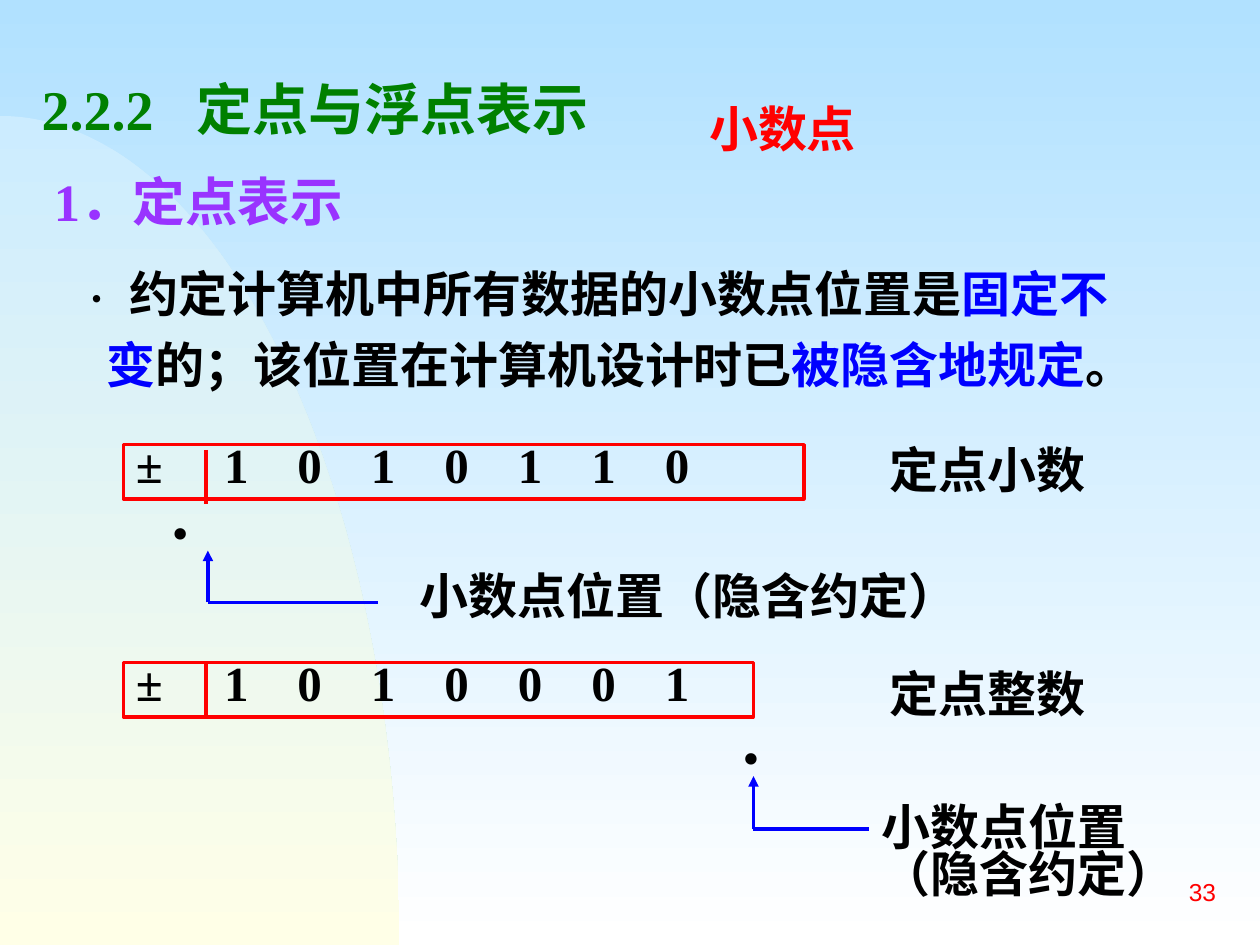
from math import cos, pi, sin

from lxml.etree import SubElement
from pptx import Presentation
from pptx.dml.color import RGBColor
from pptx.enum.shapes import MSO_CONNECTOR as Connector, MSO_SHAPE as Shape
from pptx.enum.text import MSO_ANCHOR as Anchor, MSO_AUTO_SIZE as AutoSize, PP_ALIGN as Align
from pptx.oxml.ns import qn
from pptx.util import Inches, Pt

COLUMNS, ROWS = 100, 75
SERIF, SANS, ARIAL = "Times New Roman", "Noto Sans CJK SC", "Arial"
BLACK, RED, BLUE, GREEN, PURPLE = "000000", "FF0000", "0000FF", "008000", "9933FF"
FIRST_BIT, BIT_STEP = 7, 5.83


def cells(count):
    return Inches(count * 10 / COLUMNS)


def colour(value):
    return RGBColor.from_string(value)


def set_gradient(fill, *values):
    fill.gradient()
    fill.gradient_angle = 270
    for stop, value in zip(fill.gradient_stops, values):
        stop.color.rgb = colour(value)


def write(shape, *runs, font=SERIF, size=28, color=BLACK, bold=True, spacing=1.0,
          align=Align.LEFT, anchor=Anchor.TOP, wrap=True, tabs=(), hanging=0):
    frame = shape.text_frame
    frame.auto_size = AutoSize.NONE
    frame.word_wrap = wrap
    frame.vertical_anchor = anchor
    paragraph = frame.paragraphs[0]
    paragraph.alignment = align
    paragraph.line_spacing = spacing
    paragraph.space_before = Pt(0)
    properties = paragraph._p.get_or_add_pPr()
    if hanging:
        properties.set("marL", str(cells(hanging)))
        properties.set("indent", str(-cells(hanging)))
    if tabs:
        tab_list = SubElement(properties, qn("a:tabLst"))
        for position in tabs:
            SubElement(tab_list, qn("a:tab"), pos=str(cells(position)), algn="l")
    for words, changes in runs:
        style = {"font": font, "size": size, "color": color, "bold": bold} | changes
        run = paragraph.add_run()
        run.text = words
        run.font.name = style["font"]
        run.font.size = Pt(style["size"])
        run.font.bold = style["bold"]
        run.font.color.rgb = colour(style["color"])
        SubElement(run._r.get_or_add_rPr(), qn("a:ea"), typeface=SANS)


def add_text(slide, box, *runs, **style):
    shape = slide.shapes.add_textbox(*map(cells, box))
    write(shape, *runs, **style)


def add_line(slide, start, end, value, arrow=False):
    line = slide.shapes.add_connector(Connector.STRAIGHT, *map(cells, start + end))
    line.line.color.rgb = colour(value)
    line.line.width = Pt(2)
    if arrow:
        SubElement(line.line._get_or_add_ln(), qn("a:tailEnd"), type="triangle")
    SubElement(line._element.spPr, qn("a:effectLst"))


def add_backdrop(slide, width, height, steps=90):
    set_gradient(slide.background.fill, "B1E1FF", "FFFFFF")
    angles = [pi / 2 * step / steps for step in range(steps + 1)]
    arc = [(cells(width * sin(angle)), cells(ROWS - height * cos(angle))) for angle in angles]
    builder = slide.shapes.build_freeform(0, cells(ROWS))
    builder.add_line_segments(arc)
    shape = builder.convert_to_shape()
    shape.shadow.inherit = False
    shape.line.fill.background()
    set_gradient(shape.fill, "CCECFF", "FFFFE7")
    slide.shapes.title._element.addprevious(shape._element)


def add_title(slide, box):
    title = slide.shapes.title
    title.left, title.top, title.width, title.height = map(cells, box)
    write(title, ("2.2.2\t定点与浮点表示", {}), size=32, color=GREEN,
          anchor=Anchor.MIDDLE, tabs=[12.3])


def add_introduction(slide, left, top):
    add_text(slide, (left, top, 26.7, 6), ("1．定点表示", {}), size=30, color=PURPLE)
    add_text(slide, (left + 2, top + 6.6, 86.7, 12.2),
             ("•  ", {"font": ARIAL, "size": 20, "bold": False}),
             ("约定计算机中所有数据的小数点位置是", {}),
             ("固定不变", {"color": BLUE}),
             ("的；该位置在计算机设计时已", {}),
             ("被隐含地规定", {"color": BLUE}),
             ("。", {}),
             font=SANS, spacing=1.2, hanging=2.2)


def add_register(slide, box, bits, label, label_top, divider_top):
    left, top, width, height = box
    register = slide.shapes.add_shape(Shape.RECTANGLE, *map(cells, box))
    register.shadow.inherit = False
    register.fill.background()
    register.line.color.rgb = colour(RED)
    register.line.width = Pt(2)
    tabs = [FIRST_BIT + BIT_STEP * index for index in range(len(bits))]
    write(register, ("\t".join("±" + bits), {}), spacing=0.7, tabs=tabs)
    divider = left + 6.55
    add_line(slide, (divider, divider_top), (divider, divider_top + height), RED)
    add_text(slide, (69.6, label_top, 18.5, 5.7), (label, {}))


def add_pointer(slide, point, corner, reach, label_box, spacing):
    left, top = point
    across, down = corner
    add_text(slide, (left, top, 5.4, 5.7), ("·", {}), size=40, spacing=0.7)
    add_line(slide, (across, down), (across, top + 3.7), BLUE, arrow=True)
    add_line(slide, (across, down), (across + reach, down), BLUE)
    add_text(slide, label_box, ("小数点位置（隐含约定）", {}), font=SANS, spacing=spacing)


def main():
    presentation = Presentation()
    presentation.slide_width, presentation.slide_height = cells(COLUMNS), cells(ROWS)
    slide = presentation.slides.add_slide(presentation.slide_layouts[5])
    add_backdrop(slide, 31.7, 65.8)
    add_title(slide, (2.3, 5, 66.7, 7.1))
    add_text(slide, (55.3, 8.6, 13.6, 4.3), ("小数点", {}), color=RED, spacing=0.7, wrap=False)
    add_introduction(slide, 3.3, 12.9)
    add_register(slide, (9.8, 35.3, 54, 4.3), "1010110", "定点小数", 34.4, 35.7)
    add_pointer(slide, (12.4, 40), (16.5, 47.8), 13.5, (32.3, 45.7, 46.8, 4.3), 0.7)
    add_register(slide, (9.8, 52.6, 50, 4.3), "1010001", "定点整数", 52.2, 52.6)
    add_pointer(slide, (57.7, 57.9), (59.8, 65.8), 9.2, (69, 63.6, 28.3, 8.5), 0.8)
    add_text(slide, (76.7, 68.3, 20.8, 5), ("33", {}), font=ARIAL, size=14, color=RED,
             bold=False, align=Align.RIGHT, anchor=Anchor.MIDDLE)
    presentation.save("out.pptx")


if __name__ == "__main__":
    main()
